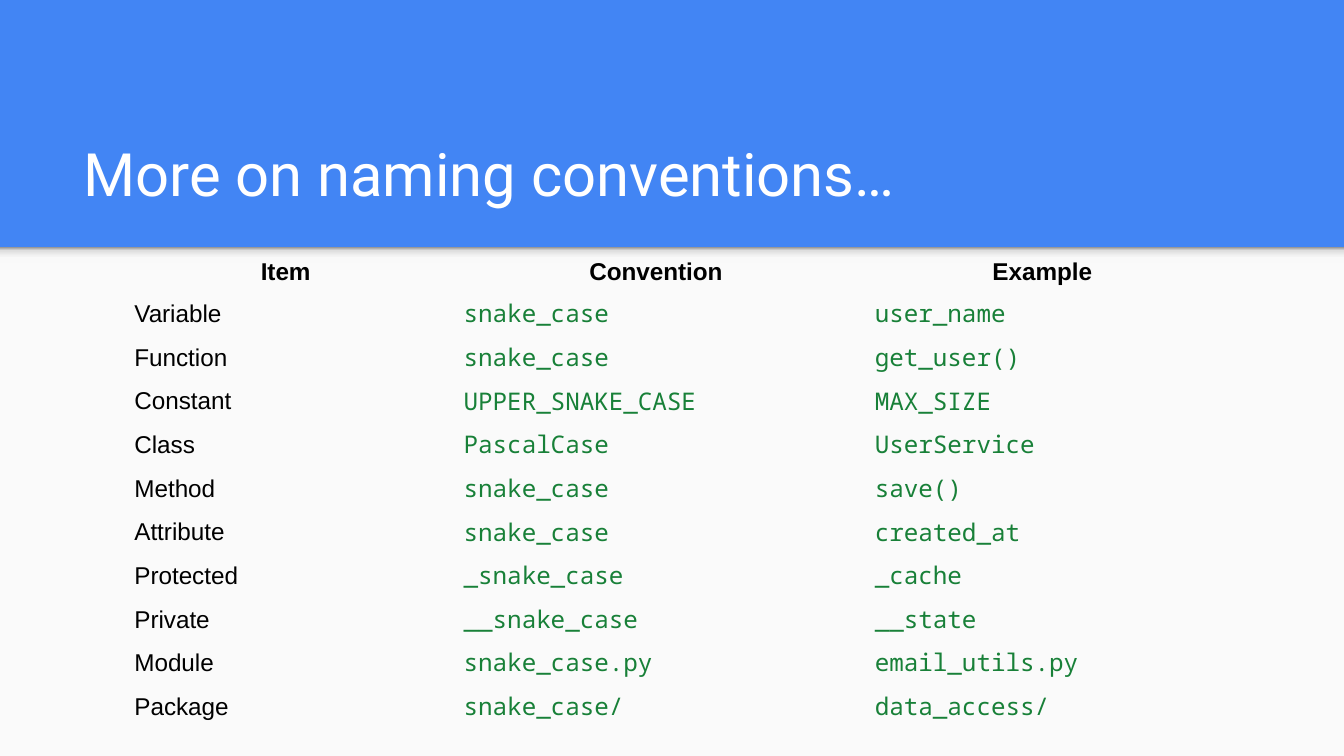
from copy import deepcopy

from pptx import Presentation
from pptx.dml.color import RGBColor
from pptx.enum.shapes import MSO_SHAPE as Shape
from pptx.enum.text import MSO_ANCHOR as Anchor, PP_ALIGN as Align
from pptx.oxml.ns import qn
from pptx.util import Inches, Pt

BLUE = RGBColor(0x42, 0x85, 0xF4)
PAPER = RGBColor(0xFA, 0xFA, 0xFA)
WHITE = RGBColor(0xFF, 0xFF, 0xFF)
BLACK = RGBColor(0x00, 0x00, 0x00)
GREEN = RGBColor(0x18, 0x80, 0x38)
SHADE_STOPS = [
    (0, RGBColor(0xF9, 0xF9, 0xF9)),
    (0.36, RGBColor(0xF9, 0xF9, 0xF9)),
    (0.8, RGBColor(0xDE, 0xDE, 0xDE)),
    (1, RGBColor(0x99, 0x99, 0x99)),
]

TITLE = "More on naming conventions…"
HEADER = ("Item", "Convention", "Example")
CONVENTIONS = [
    ("Variable", "snake_case", "user_name"),
    ("Function", "snake_case", "get_user()"),
    ("Constant", "UPPER_SNAKE_CASE", "MAX_SIZE"),
    ("Class", "PascalCase", "UserService"),
    ("Method", "snake_case", "save()"),
    ("Attribute", "snake_case", "created_at"),
    ("Protected", "_snake_case", "_cache"),
    ("Private", "__snake_case", "__state"),
    ("Module", "snake_case.py", "email_utils.py"),
    ("Package", "snake_case/", "data_access/"),
]

WIDTH = 10
HEIGHT = WIDTH * 9 / 16
BAND_BOTTOM = 1.84
COLUMN_WIDTHS = (2.45, 3.06, 2.69)
HEADER_HEIGHT, BODY_HEIGHT = 0.31, 3.25
NO_STYLE = "{2D5ABB26-0587-4C30-8999-92F81FD0307C}"

TITLE_FONT = {"name": "Roboto", "size": Pt(32)}
HEADER_FONT = {"name": "Arial", "size": Pt(13), "bold": True}
ITEM_FONT = {"name": "Arial", "size": Pt(13), "bold": False}
CODE_FONT = {"name": "Noto Sans Mono", "size": Pt(13), "bold": False}
MARGINS = dict.fromkeys(
    ("margin_left", "margin_top", "margin_right", "margin_bottom"), Inches(0.1)
)


def set_all(target, values):
    for name, value in values.items():
        setattr(target, name, value)


def write(paragraph, text, font, color):
    run = paragraph.add_run()
    run.text = text
    set_all(run.font, font)
    run.font.color.rgb = color


def add_panel(slide, top, height):
    panel = slide.shapes.add_shape(
        Shape.RECTANGLE, 0, Inches(top), Inches(WIDTH), Inches(height)
    )
    panel.shadow.inherit = False
    panel.line.fill.background()
    return panel


def add_shade(slide):
    shade = add_panel(slide, BAND_BOTTOM, 0.12)
    shade.fill.gradient()
    shade.fill.gradient_angle = 90
    stop_list = next(shade._element.iter(qn("a:gsLst")))
    while len(stop_list) < len(SHADE_STOPS):
        stop_list.append(deepcopy(stop_list[0]))
    for stop, (position, color) in zip(shade.fill.gradient_stops, SHADE_STOPS):
        stop.position = position
        stop.color.rgb = color


def add_title(slide):
    box = slide.shapes.add_textbox(
        Inches(0.52), Inches(0.81), Inches(8.99), Inches(0.84)
    )
    frame = box.text_frame
    set_all(frame, MARGINS | {"word_wrap": True, "vertical_anchor": Anchor.BOTTOM})
    write(frame.paragraphs[0], TITLE, TITLE_FONT, WHITE)


def add_conventions(slide):
    rows = [HEADER, *CONVENTIONS]
    table = slide.shapes.add_table(
        len(rows), len(HEADER), Inches(0.9), Inches(1.98),
        Inches(sum(COLUMN_WIDTHS)), Inches(HEADER_HEIGHT + BODY_HEIGHT),
    ).table
    set_all(table, {"first_row": False, "horz_banding": False})
    next(table._tbl.iter(qn("a:tableStyleId"))).text = NO_STYLE
    for column, width in zip(table.columns, COLUMN_WIDTHS):
        column.width = Inches(width)
    for row_index, values in enumerate(rows):
        is_header = row_index == 0
        row_height = HEADER_HEIGHT if is_header else BODY_HEIGHT / len(CONVENTIONS)
        table.rows[row_index].height = Inches(row_height)
        for column_index, text in enumerate(values):
            cell = table.cell(row_index, column_index)
            set_all(cell, MARGINS)
            cell.fill.background()
            paragraph = cell.text_frame.paragraphs[0]
            paragraph.line_spacing = 0.06
            if is_header:
                paragraph.alignment = Align.CENTER
                write(paragraph, text, HEADER_FONT, BLACK)
            elif column_index == 0:
                write(paragraph, text, ITEM_FONT, BLACK)
            else:
                write(paragraph, text, CODE_FONT, GREEN)


def main():
    presentation = Presentation()
    presentation.slide_width = Inches(WIDTH)
    presentation.slide_height = Inches(HEIGHT)
    slide = presentation.slides.add_slide(presentation.slide_layouts[6])
    slide.background.fill.solid()
    slide.background.fill.fore_color.rgb = BLUE
    paper = add_panel(slide, BAND_BOTTOM, HEIGHT - BAND_BOTTOM)
    paper.fill.solid()
    paper.fill.fore_color.rgb = PAPER
    add_shade(slide)
    add_title(slide)
    add_conventions(slide)
    presentation.save("out.pptx")


if __name__ == "__main__":
    main()
